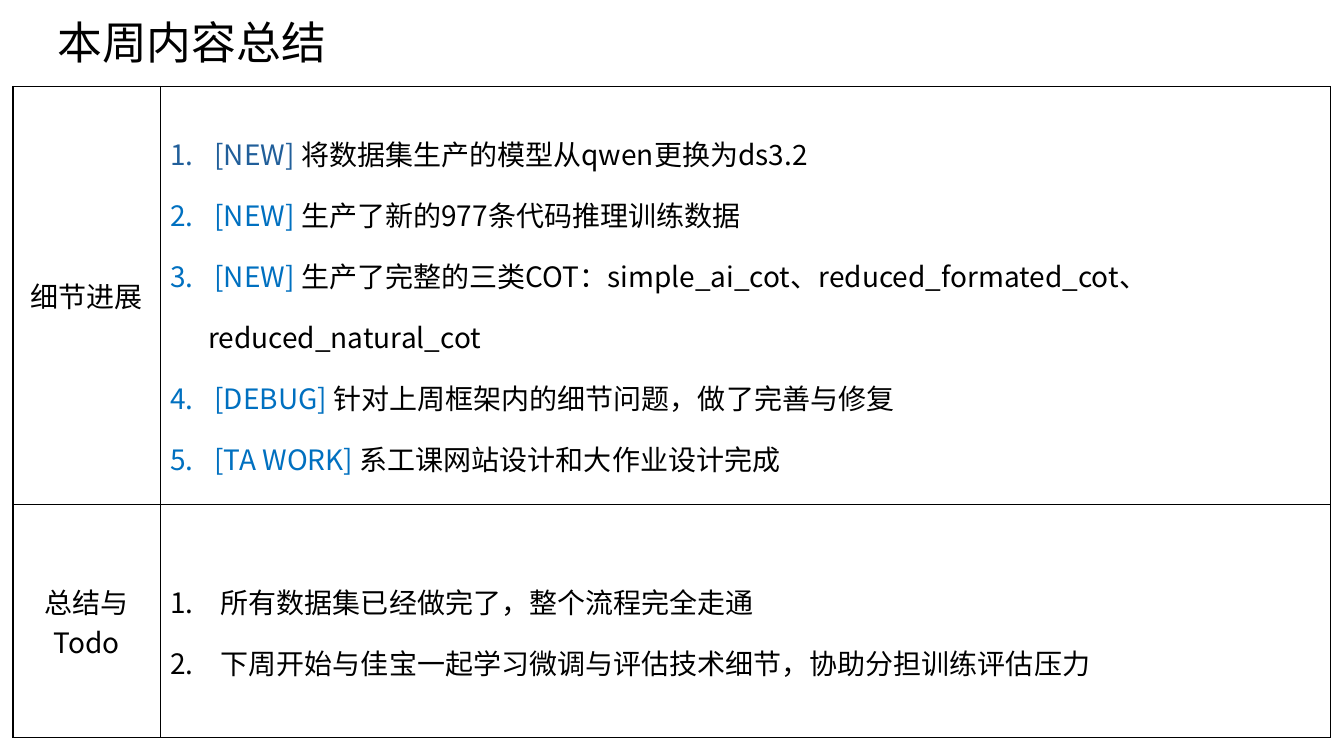
"""Build the weekly summary slide with its two-row table."""
import dataclasses

import lxml.etree
import pptx
import pptx.dml.color
import pptx.enum.text
import pptx.oxml.ns
import pptx.util

Cm = pptx.util.Cm
Pt = pptx.util.Pt
RGB = pptx.dml.color.RGBColor.from_string
qn = pptx.oxml.ns.qn
ALIGN = pptx.enum.text.PP_ALIGN
MIDDLE = pptx.enum.text.MSO_ANCHOR.MIDDLE


@dataclasses.dataclass(frozen=True)
class Theme:
    face: str = "Noto Sans CJK SC"
    ink: str = "000000"
    paper: str = "FFFFFF"
    navy: str = "215F9A"
    blue: str = "0070C0"
    head: int = 32
    body: int = 20
    rule: int = 1


class Deck:
    def __init__(self, theme):
        self.theme = theme
        self.show = pptx.Presentation()
        self.show.slide_width, self.show.slide_height = Cm(33.87), Cm(19.05)
        self.slide = self.show.slides.add_slide(self.show.slide_layouts[5])

    def style(self, para, size, align=ALIGN.LEFT):
        para.alignment = align
        font = para.font
        font.size, font.name = Pt(size), self.theme.face
        font.color.rgb = RGB(self.theme.ink)
        props = para._p.get_or_add_pPr().find(qn("a:defRPr"))
        lxml.etree.SubElement(props, qn("a:ea"), typeface=self.theme.face)

    def title(self, text, left, top, width, height):
        shape = self.slide.shapes.title
        shape.left, shape.top = Cm(left), Cm(top)
        shape.width, shape.height = Cm(width), Cm(height)
        frame = shape.text_frame
        frame.text = text
        frame.word_wrap = False
        frame.auto_size = pptx.enum.text.MSO_AUTO_SIZE.SHAPE_TO_FIT_TEXT
        frame.vertical_anchor = MIDDLE
        self.style(frame.paragraphs[0], self.theme.head)

    def table(self, left, top, cols, rows):
        grid = self.slide.shapes.add_table(
            len(rows), len(cols), Cm(left), Cm(top), Cm(sum(cols)), Cm(sum(rows))
        ).table
        grid.first_row = grid.horz_banding = False
        for col, width in zip(grid.columns, cols):
            col.width = Cm(width)
        for row, height in zip(grid.rows, rows):
            row.height = Cm(height)
        for cell in grid.iter_cells():
            self.frame(cell)
        return grid

    def frame(self, cell):
        props = cell._tc.get_or_add_tcPr()
        for side in "LRTB":
            line = lxml.etree.SubElement(
                props, qn(f"a:ln{side}"), w=str(Pt(self.theme.rule)))
            fill = lxml.etree.SubElement(line, qn("a:solidFill"))
            lxml.etree.SubElement(fill, qn("a:srgbClr"), val=self.theme.ink)
        cell.fill.solid()
        cell.fill.fore_color.rgb = RGB(self.theme.paper)
        cell.vertical_anchor = MIDDLE

    def label(self, cell, text):
        cell.text = text
        self.style(cell.text_frame.paragraphs[0], self.theme.body, ALIGN.CENTER)

    def list(self, cell, items, indent):
        frame = cell.text_frame
        for i, (tag, tint, text) in enumerate(items):
            para = frame.add_paragraph() if i else frame.paragraphs[0]
            para.line_spacing = 1.5
            props = para._p.get_or_add_pPr()
            props.set("marL", str(Cm(indent)))
            props.set("indent", str(-Cm(indent)))
            lxml.etree.SubElement(props, qn("a:buFont"), typeface="+mj-lt")
            lxml.etree.SubElement(props, qn("a:buAutoNum"), type="arabicPeriod")
            self.style(para, self.theme.body)
            if tag:
                run = para.add_run()
                run.text = f" [{tag}] "
                run.font.color.rgb = RGB(tint)
            para.add_run().text = text


def main():
    theme = Theme()
    deck = Deck(theme)
    deck.title("本周内容总结", 1.19, 0.23, 7.34, 1.63)
    grid = deck.table(0.33, 2.18, (3.71, 29.49), (10.54, 5.87))
    deck.label(grid.cell(0, 0), "细节进展")
    deck.list(grid.cell(0, 1), [
        ("NEW", theme.navy, "将数据集生产的模型从qwen更换为ds3.2"),
        ("NEW", theme.blue, "生产了新的977条代码推理训练数据"),
        ("NEW", theme.blue, "生产了完整的三类COT：simple_ai_cot、"
                            "reduced_formated_cot、reduced_natural_cot"),
        ("DEBUG", theme.blue, "针对上周框架内的细节问题，做了完善与修复"),
        ("TA WORK", theme.blue, "系工课网站设计和大作业设计完成"),
    ], 0.95)
    deck.label(grid.cell(1, 0), "总结与Todo")
    deck.list(grid.cell(1, 1), [
        (None, None, "所有数据集已经做完了，整个流程完全走通"),
        (None, None, "下周开始与佳宝一起学习微调与评估技术细节，协助分担训练评估压力"),
    ], 1.27)
    deck.show.save("out.pptx")


if __name__ == "__main__":
    main()
